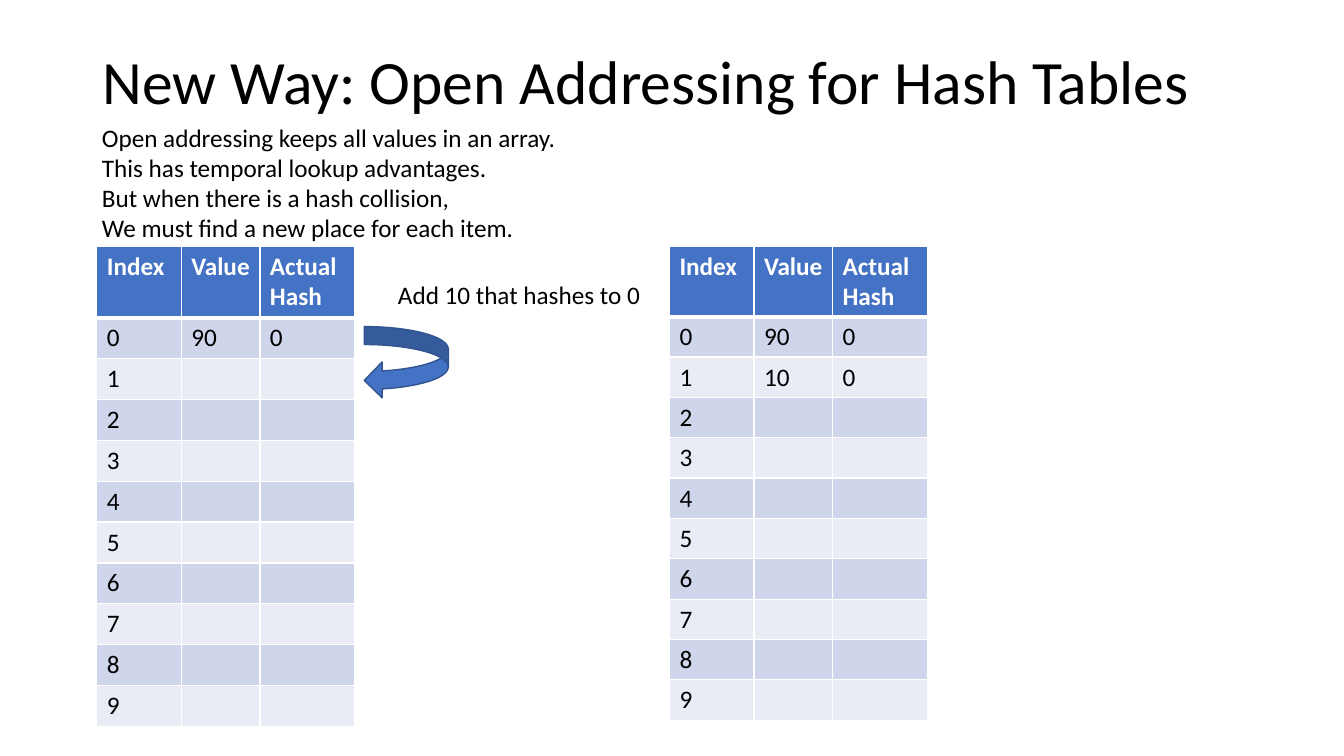
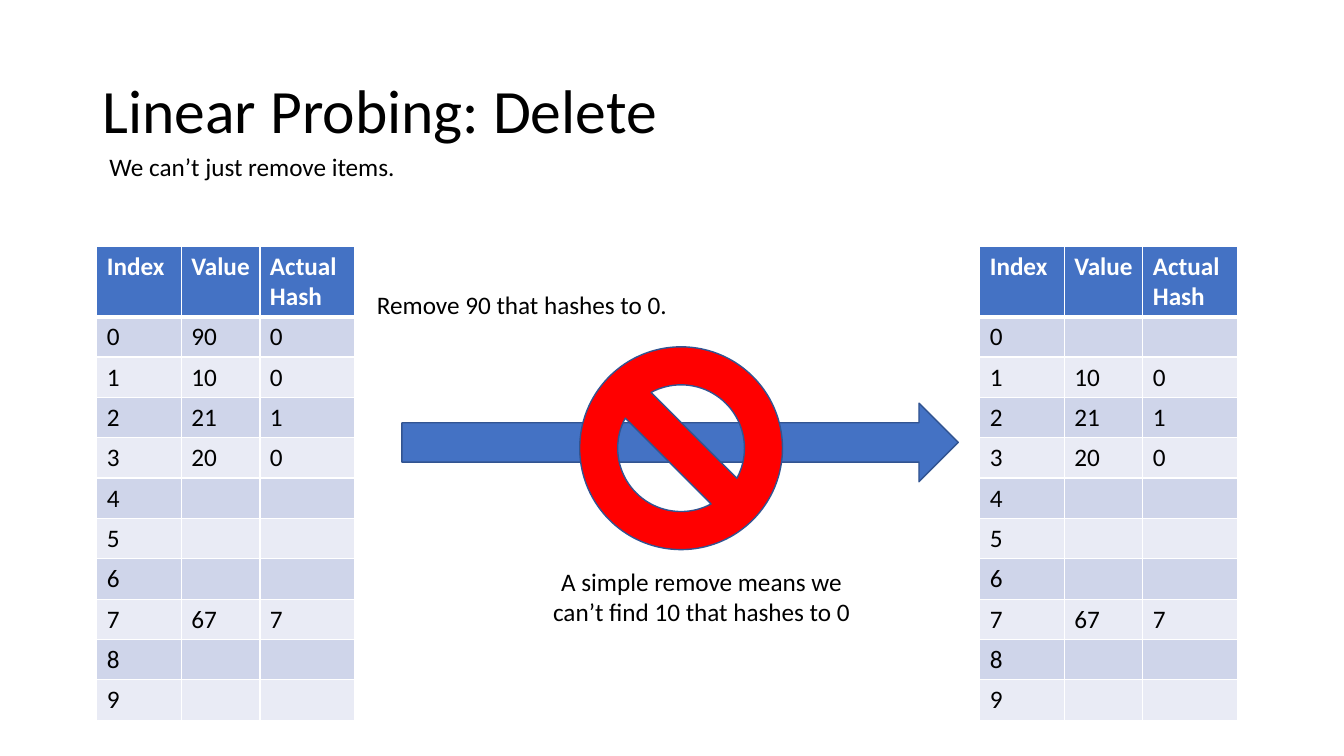
from lxml import etree
from pptx import Presentation
from pptx.dml.color import RGBColor
from pptx.enum.shapes import MSO_SHAPE
from pptx.enum.text import MSO_ANCHOR, MSO_AUTO_SIZE, PP_ALIGN
from pptx.oxml.ns import qn
from pptx.util import Cm, Pt

LEFT, CENTER = PP_ALIGN.LEFT, PP_ALIGN.CENTER
TOP, MIDDLE = MSO_ANCHOR.TOP, MSO_ANCHOR.MIDDLE
NO_AUTO_SIZE = MSO_AUTO_SIZE.NONE
CURVED_ARROW = MSO_SHAPE.CURVED_LEFT_ARROW
RIGHT_ARROW = MSO_SHAPE.RIGHT_ARROW
PROHIBITION = MSO_SHAPE.NO_SYMBOL

BLACK = RGBColor(0x00, 0x00, 0x00)
WHITE = RGBColor(0xFF, 0xFF, 0xFF)
BLUE = RGBColor(0x44, 0x72, 0xC4)
DARK_BLUE = RGBColor(0x32, 0x54, 0x91)
RED = RGBColor(0xFF, 0x00, 0x00)
BANDS = (RGBColor(0xCF, 0xD5, 0xEA), RGBColor(0xE9, 0xEB, 0xF5))

FONT = "Calibri"
TITLE_ONLY_LAYOUT = 5
HEADINGS = ("Index", "Value", "Actual Hash")
COLUMN_WIDTHS = (2.13, 1.98, 2.39)
HEADER_HEIGHT, ROW_HEIGHT, TABLE_HEIGHT = 1.5, 0.86, 11.94
TABLE_LEFT, TABLE_TOP = 2.44, 6.2
BUCKETS = 10


def write_text(frame, lines, size=18, color=BLACK, bold=False, align=LEFT,
               anchor=TOP, spacing=1.0):
    frame.vertical_anchor = anchor
    for number, line in enumerate(lines):
        paragraph = frame.add_paragraph() if number else frame.paragraphs[0]
        paragraph.alignment = align
        paragraph.line_spacing = spacing
        run = paragraph.add_run()
        run.text = line
        run.font.name = FONT
        run.font.size = Pt(size)
        run.font.bold = bold
        run.font.color.rgb = color


def add_titled_slide(presentation, title, height):
    layout = presentation.slide_layouts[TITLE_ONLY_LAYOUT]
    slide = presentation.slides.add_slide(layout)
    shape = slide.shapes.title
    shape.left, shape.top = Cm(2.33), Cm(1.02)
    shape.width, shape.height = Cm(29.21), Cm(height)
    shape.text_frame.auto_size = NO_AUTO_SIZE
    write_text(shape.text_frame, [title], size=44, anchor=MIDDLE, spacing=0.9)
    return slide


def add_text(slide, lines, left, top, width, height, **text_format):
    box = slide.shapes.add_textbox(Cm(left), Cm(top), Cm(width), Cm(height))
    box.text_frame.word_wrap = True
    write_text(box.text_frame, lines, **text_format)


def add_symbol(slide, kind, left, top, width, height, fill=BLUE):
    shape = slide.shapes.add_shape(kind, Cm(left), Cm(top), Cm(width), Cm(height))
    shape.shadow.inherit = False
    shape.fill.solid()
    shape.fill.fore_color.rgb = fill
    shape.line.color.rgb = DARK_BLUE
    shape.line.width = Pt(1)


def set_borders(cell, top, bottom):
    properties = cell._tc.get_or_add_tcPr()
    for side, width in (("L", 1), ("R", 1), ("T", top), ("B", bottom)):
        line = etree.SubElement(properties, qn("a:ln" + side), w=str(Pt(width)))
        fill = etree.SubElement(line, qn("a:solidFill"))
        etree.SubElement(fill, qn("a:srgbClr"), val=str(WHITE))


def fill_cell(cell, text, row):
    header = row == 0
    set_borders(cell, top=3 if row == 1 else 1, bottom=3 if header else 1)
    cell.fill.solid()
    cell.fill.fore_color.rgb = BLUE if header else BANDS[(row - 1) % 2]
    if text:
        write_text(cell.text_frame, [text], color=WHITE if header else BLACK,
                   bold=header)


def add_hash_table(slide, left, entries):
    rows = [HEADINGS]
    rows += [(str(index), *entries.get(index, ("", ""))) for index in range(BUCKETS)]
    frame = slide.shapes.add_table(
        len(rows), len(HEADINGS), Cm(left), Cm(TABLE_TOP),
        Cm(sum(COLUMN_WIDTHS)), Cm(TABLE_HEIGHT))
    table = frame.table
    for column, width in zip(table.columns, COLUMN_WIDTHS):
        column.width = Cm(width)
    for row, texts in enumerate(rows):
        table.rows[row].height = Cm(ROW_HEIGHT if row else HEADER_HEIGHT)
        for column, text in enumerate(texts):
            fill_cell(table.cell(row, column), text, row)
    frame.height = Cm(TABLE_HEIGHT)


def build_open_addressing(presentation):
    slide = add_titled_slide(
        presentation, "New Way: Open Addressing for Hash Tables", 2.2)
    before = {0: ("90", "0")}
    add_hash_table(slide, TABLE_LEFT, before)
    add_text(slide, [
        "Open addressing keeps all values in an array.",
        "This has temporal lookup advantages.",
        "But when there is a hash collision,",
        "We must find a new place for each item.",
    ], 2.32, 2.95, 12.22, 3.33)
    add_symbol(slide, CURVED_ARROW, 9.18, 8.23, 2.12, 1.81)
    add_text(slide, ["Add 10 that hashes to 0"], 9.78, 6.91, 6.7, 1.8)
    add_hash_table(slide, 16.87, before | {1: ("10", "0")})


def build_delete(presentation):
    slide = add_titled_slide(presentation, "Linear Probing: Delete", 3.68)
    add_text(slide, ["We can’t just remove items."], 2.51, 3.68, 19.08, 1.03)
    after = {1: ("10", "0"), 2: ("21", "1"), 3: ("20", "0"), 7: ("67", "7")}
    add_hash_table(slide, TABLE_LEFT, after | {0: ("90", "0")})
    add_text(slide, ["Remove 90 that hashes to 0."], 9.25, 7.16, 7.9, 1.8)
    add_hash_table(slide, 24.69, after)
    add_symbol(slide, RIGHT_ARROW, 10.13, 10.16, 14.02, 1.98)
    add_symbol(slide, PROHIBITION, 14.61, 8.74, 5.11, 5.11, fill=RED)
    add_text(slide, ["A simple remove means we can’t find 10 that hashes to 0"],
             13.44, 14.15, 8.48, 2.57, align=CENTER)


def main():
    presentation = Presentation()
    presentation.slide_width, presentation.slide_height = Cm(33.87), Cm(19.05)
    build_open_addressing(presentation)
    build_delete(presentation)
    presentation.save("out.pptx")


main()
